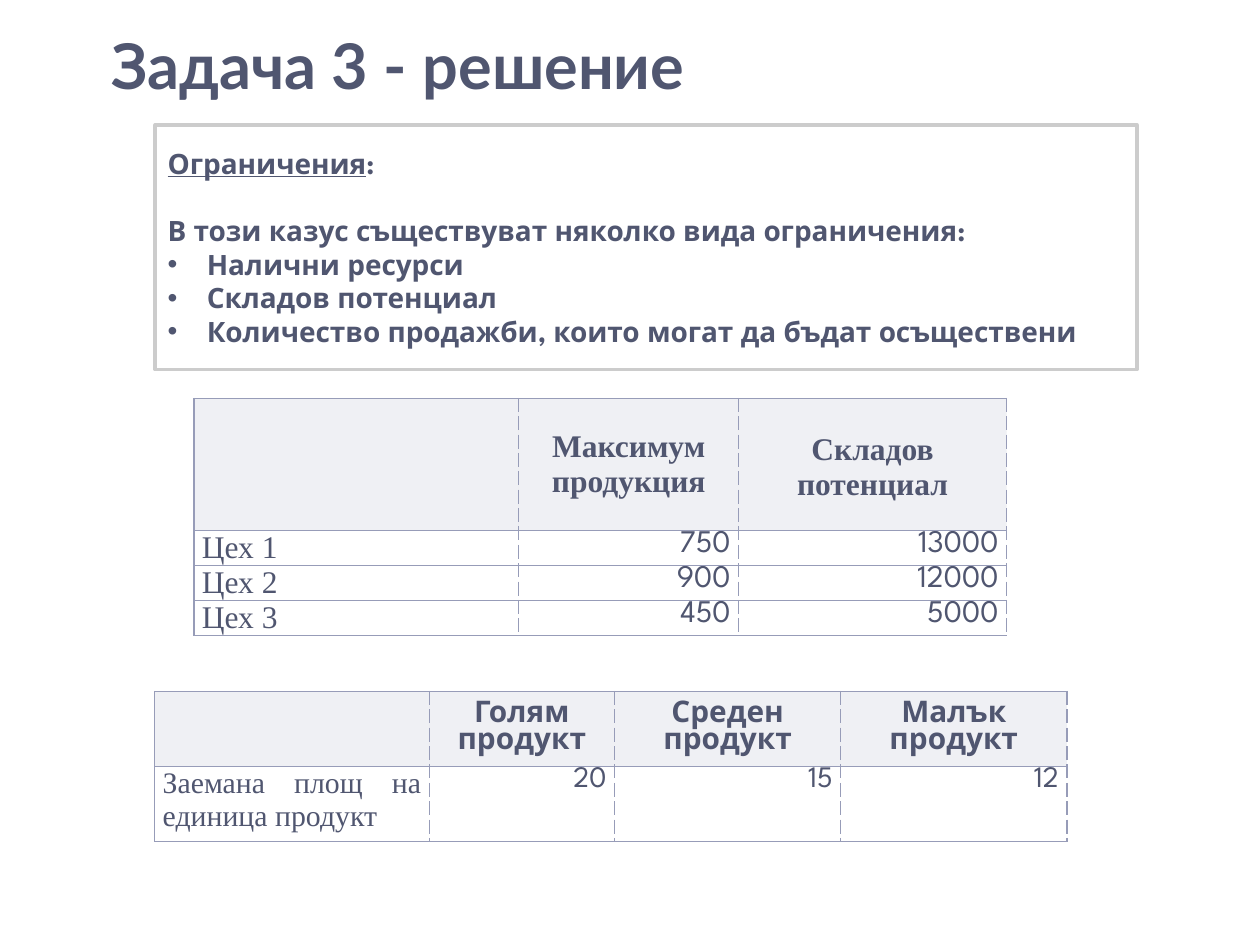
import pptx
import pptx.util
import pptx.dml.color
import pptx.enum.shapes
import pptx.enum.text
import pptx.oxml
import pptx.oxml.ns

Cm = pptx.util.Cm
Pt = pptx.util.Pt
ALIGN = pptx.enum.text.PP_ALIGN
ANCHOR = pptx.enum.text.MSO_ANCHOR
NS = pptx.oxml.ns.nsdecls("a")
INK = {"text": "505670", "rule": "979CB8", "frame": "CCCCCC", "paper": "FFFFFF"}
HEAD, SANS, SERIF = "Lato", "League Spartan", "Times New Roman"


def tint(name):
    """Return the named colour."""
    return pptx.dml.color.RGBColor.from_string(INK[name])


def add_run(para, text, face, size, bold=False, under=False):
    """Add one styled run to a paragraph."""
    run = para.add_run()
    run.text = text
    font = run.font
    font.name, font.size, font.bold, font.underline = face, Pt(size), bold, under
    font.color.rgb = tint("text")


def add_title(slide, box, text):
    """Fill and place the title placeholder."""
    title = slide.shapes.title
    title.left, title.top, title.width, title.height = map(Cm, box)
    frame = title.text_frame
    frame.auto_size = pptx.enum.text.MSO_AUTO_SIZE.NONE
    frame.vertical_anchor = ANCHOR.BOTTOM
    frame.margin_left = frame.margin_right = Cm(0.25)
    frame.margin_top = frame.margin_bottom = Cm(0.25)
    para = frame.paragraphs[0]
    para.alignment = ALIGN.LEFT
    add_run(para, text, HEAD, 36, True)


def add_limits(slide, box, head, lead, items):
    """Draw the framed box with heading, lead line and bullets."""
    shape = slide.shapes.add_shape(pptx.enum.shapes.MSO_SHAPE.RECTANGLE, *map(Cm, box))
    shape.shadow.inherit = False
    shape.fill.solid()
    shape.fill.fore_color.rgb = tint("paper")
    shape.line.color.rgb = tint("frame")
    shape.line.width = Pt(2)
    frame = shape.text_frame
    frame.word_wrap = True
    frame.vertical_anchor = ANCHOR.MIDDLE
    para = frame.paragraphs[0]
    add_run(para, head, SANS, 16, True, True)
    add_run(para, ":", SANS, 16, True)
    para.space_after = Pt(19.2)
    for text in [lead] + items:
        para = frame.add_paragraph()
        add_run(para, text, SANS, 16, True)
        if text in items:
            add_dot(para)
    for para in frame.paragraphs:
        para.alignment = ALIGN.LEFT
        para.line_spacing = Pt(19.2)


def add_dot(para):
    """Give a paragraph a hanging bullet."""
    props = para._p.get_or_add_pPr()
    props.set("marL", str(Cm(0.79)))
    props.set("indent", str(-Cm(0.79)))
    for tag in ('buFont typeface="Arial"', 'buChar char="•"'):
        props.append(pptx.oxml.parse_xml(f"<a:{tag} {NS}/>"))


def style_cell(cell, head, first):
    """Set the fill, margins and borders of a cell."""
    cell.margin_left = cell.margin_right = Cm(0.16)
    cell.margin_top = cell.margin_bottom = 0
    cell.vertical_anchor = ANCHOR.MIDDLE if head else ANCHOR.TOP
    if head:
        cell.fill.solid()
        cell.fill.fore_color.rgb = tint("rule")
    else:
        cell.fill.background()
    props = cell._tc.get_or_add_tcPr()
    for color in props.iter(pptx.oxml.ns.qn("a:srgbClr")):
        color.append(pptx.oxml.parse_xml(f'<a:alpha {NS} val="15000"/>'))
    for spot, side in enumerate("LRTB"):
        dash = "dash" if side == "R" or (side == "L" and not first) else "solid"
        props.insert(spot, pptx.oxml.parse_xml(
            f'<a:ln{side} {NS} w="{Pt(0.75)}"><a:solidFill><a:srgbClr val="{INK["rule"]}"/>'
            f'</a:solidFill><a:prstDash val="{dash}"/></a:ln{side}>'))


def add_grid(slide, spot, cols, rows, data, face, size):
    """Draw a table with a tinted head row and a label column."""
    left, top = spot
    box = map(Cm, (left, top, sum(cols), sum(rows)))
    table = slide.shapes.add_table(len(rows), len(cols), *box).table
    table.first_row = table.horz_banding = False
    for col, width in zip(table.columns, cols):
        col.width = Cm(width)
    for row, height in zip(table.rows, rows):
        row.height = Cm(height)
    for r, line in enumerate(data):
        for c, text in enumerate(line):
            cell = table.cell(r, c)
            style_cell(cell, r == 0, c == 0)
            if not text:
                continue
            para = cell.text_frame.paragraphs[0]
            para.alignment = ALIGN.CENTER if r == 0 else ALIGN.RIGHT if c else ALIGN.JUSTIFY
            font = face if r == 0 else SANS if c else SERIF
            add_run(para, text, font, size, r == 0)
    return table


def main():
    """Build and save the slide."""
    deck = pptx.Presentation()
    deck.slide_width, deck.slide_height = Cm(25.4), Cm(19.05)
    slide = deck.slides.add_slide(deck.slide_layouts[5])
    add_title(slide, (2, 0.1, 22.86, 2.2), "Задача 3 - решение")
    add_limits(slide, (3.13, 2.52, 19.79, 4.93), "Ограничения",
               "В този казус съществуват няколко вида ограничения:",
               ["Налични ресурси", "Складов потенциал",
                "Количество продажби, които могат да бъдат осъществени"])
    shops = add_grid(slide, (3.91, 8.03), (6.55, 4.43, 5.4), (2.67, 0.7, 0.7, 0.7), [
        ("", "Максимум продукция", "Складов потенциал"),
        ("Цех 1", "750", "13000"),
        ("Цех 2", "900", "12000"),
        ("Цех 3", "450", "5000")], SERIF, 18)
    shops.cell(0, 2).margin_top = Cm(0.12)
    add_grid(slide, (3.12, 13.94), (5.53, 3.74, 4.56, 4.56), (1.51, 1.51), [
        ("", "Голям продукт", "Среден продукт", "Малък продукт"),
        ("Заемана площ на единица продукт", "20", "15", "12")], SANS, 17)
    deck.save("out.pptx")


if __name__ == "__main__":
    main()
